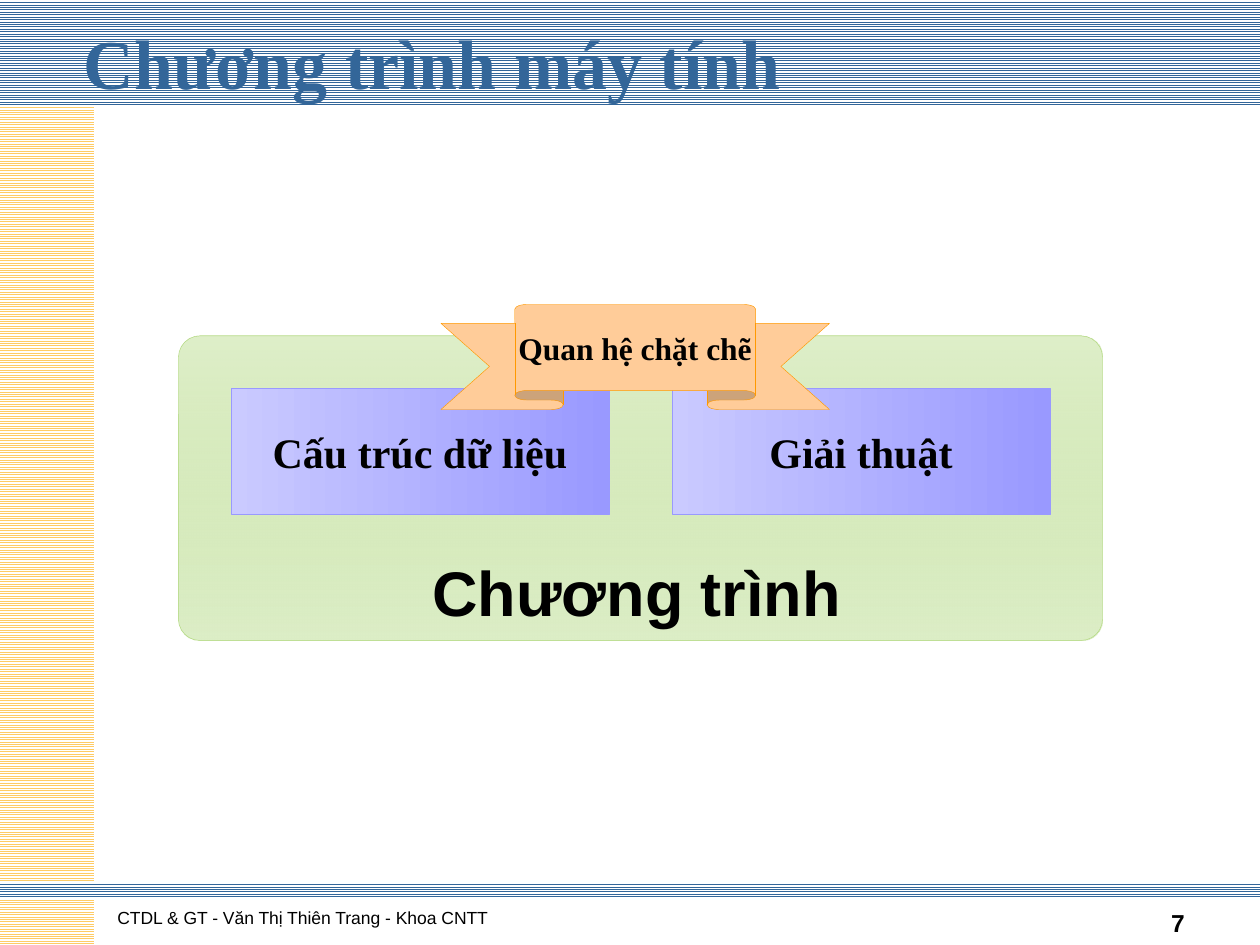
import dataclasses

import pptx
import pptx.dml.color
import pptx.enum.dml
import pptx.enum.shapes
import pptx.enum.text
import pptx.util
from lxml import etree

SHAPES = pptx.enum.shapes.MSO_SHAPE
ALIGN = pptx.enum.text.PP_ALIGN
ANCHOR = pptx.enum.text.MSO_ANCHOR
DRAWING_NAMESPACE = "{http://schemas.openxmlformats.org/drawingml/2006/main}"


@dataclasses.dataclass(frozen=True)
class Theme:
    serif: str = "Times New Roman"
    sans: str = "Arial"
    text: str = "000000"
    paper: str = "FFFFFF"
    blue: str = "336699"
    gold: str = "FFCC66"
    panel: tuple = ("B1D87E", "DCEEC6")
    box: tuple = ("CACAFF", "9999FF")
    ribbon: str = "FFCC99"
    ribbon_line: str = "FF9900"
    title_size: int = 40
    program_size: int = 36
    box_size: int = 24
    ribbon_size: int = 18
    number_size: int = 14
    footer_size: int = 10
    line_width: float = 0.25


def color(value):
    return pptx.dml.color.RGBColor.from_string(value)


class SlideBuilder:
    COLUMNS, ROWS = 120, 90

    def __init__(self, presentation, theme):
        self.theme = theme
        self.column = presentation.slide_width / self.COLUMNS
        self.row = presentation.slide_height / self.ROWS
        self.slide = presentation.slides.add_slide(presentation.slide_layouts[6])

    def place(self, column, row, columns, rows):
        return (round(column * self.column), round(row * self.row),
                round(columns * self.column), round(rows * self.row))

    def shape(self, kind, area, line=None):
        shape = self.slide.shapes.add_shape(kind, *self.place(*area))
        shape.shadow.inherit = False
        if line:
            shape.line.color.rgb = color(line)
            shape.line.width = pptx.util.Pt(self.theme.line_width)
        else:
            shape.line.fill.background()
        return shape

    def stripes(self, area, ink):
        fill = self.shape(SHAPES.RECTANGLE, area).fill
        fill.patterned()
        fill.pattern = pptx.enum.dml.MSO_PATTERN.LIGHT_HORIZONTAL
        fill.fore_color.rgb = color(ink)
        fill.back_color.rgb = color(self.theme.paper)

    def gradient(self, shape, colors, angle, start_opacity=None):
        shape.fill.gradient()
        shape.fill.gradient_angle = angle
        for stop, value in zip(shape.fill.gradient_stops, colors):
            stop.color.rgb = color(value)
        if start_opacity is not None:
            start = shape._element.spPr.xpath(".//a:gs/a:srgbClr")[0]
            alpha = etree.SubElement(start, DRAWING_NAMESPACE + "alpha")
            alpha.set("val", str(start_opacity * 1000))

    def set_text(self, shape, text, size, font=None, ink=None, bold=True,
                 align=ALIGN.CENTER, anchor=ANCHOR.MIDDLE, wrap=False):
        frame = shape.text_frame
        frame.word_wrap = wrap
        frame.vertical_anchor = anchor
        paragraph = frame.paragraphs[0]
        paragraph.text = text
        paragraph.alignment = align
        paragraph.font.name = font or self.theme.serif
        paragraph.font.size = pptx.util.Pt(size)
        paragraph.font.bold = bold
        paragraph.font.color.rgb = color(ink or self.theme.text)

    def label(self, area, text, size, **style):
        box = self.slide.shapes.add_textbox(*self.place(*area))
        self.set_text(box, text, size, **{"align": ALIGN.LEFT, "wrap": True, **style})

    def panel(self, area):
        shape = self.shape(SHAPES.ROUNDED_RECTANGLE, area, self.theme.panel[0])
        shape.adjustments[0] = 0.07
        self.gradient(shape, self.theme.panel, 270, start_opacity=41)

    def box(self, area, text):
        shape = self.shape(SHAPES.RECTANGLE, area, self.theme.box[1])
        self.gradient(shape, self.theme.box, 0)
        self.set_text(shape, text, self.theme.box_size)

    def ribbon(self, area, text):
        shape = self.shape(SHAPES.UP_RIBBON, area, self.theme.ribbon_line)
        shape.adjustments[0] = 0.18
        shape.adjustments[1] = 0.62
        shape.fill.solid()
        shape.fill.fore_color.rgb = color(self.theme.ribbon)
        self.set_text(shape, text, self.theme.ribbon_size)


def main():
    presentation = pptx.Presentation()
    presentation.slide_width = pptx.util.Inches(10)
    presentation.slide_height = pptx.util.Inches(7.5)
    theme = Theme()
    builder = SlideBuilder(presentation, theme)

    builder.stripes((0, 0, 120, 10), theme.blue)
    builder.stripes((0, 10, 9, 80), theme.gold)
    builder.stripes((0, 84, 120, 1.6), theme.blue)
    builder.label((10, 83, 73, 6), "CTDL & GT - Văn Thị Thiên Trang - Khoa CNTT",
                  theme.footer_size, font=theme.sans, bold=False, anchor=ANCHOR.BOTTOM)
    builder.label((86, 83.9, 28, 6), "7", theme.number_size, font=theme.sans,
                  align=ALIGN.RIGHT, anchor=ANCHOR.BOTTOM)
    builder.label((6.8, 0.7, 108, 10.3), "Chương trình máy tính",
                  theme.title_size, ink=theme.blue)

    builder.panel((17, 32, 88, 29))
    for index, text in enumerate(("Cấu trúc dữ liệu", "Giải thuật")):
        builder.box((22 + 42 * index, 37, 36, 12), text)
    builder.label((40, 52.1, 41.4, 8.4), "Chương trình", theme.program_size,
                  font=theme.sans, anchor=ANCHOR.TOP, wrap=False)
    builder.ribbon((42, 29, 37, 10), "Quan hệ chặt chẽ")

    presentation.save("out.pptx")


if __name__ == "__main__":
    main()
